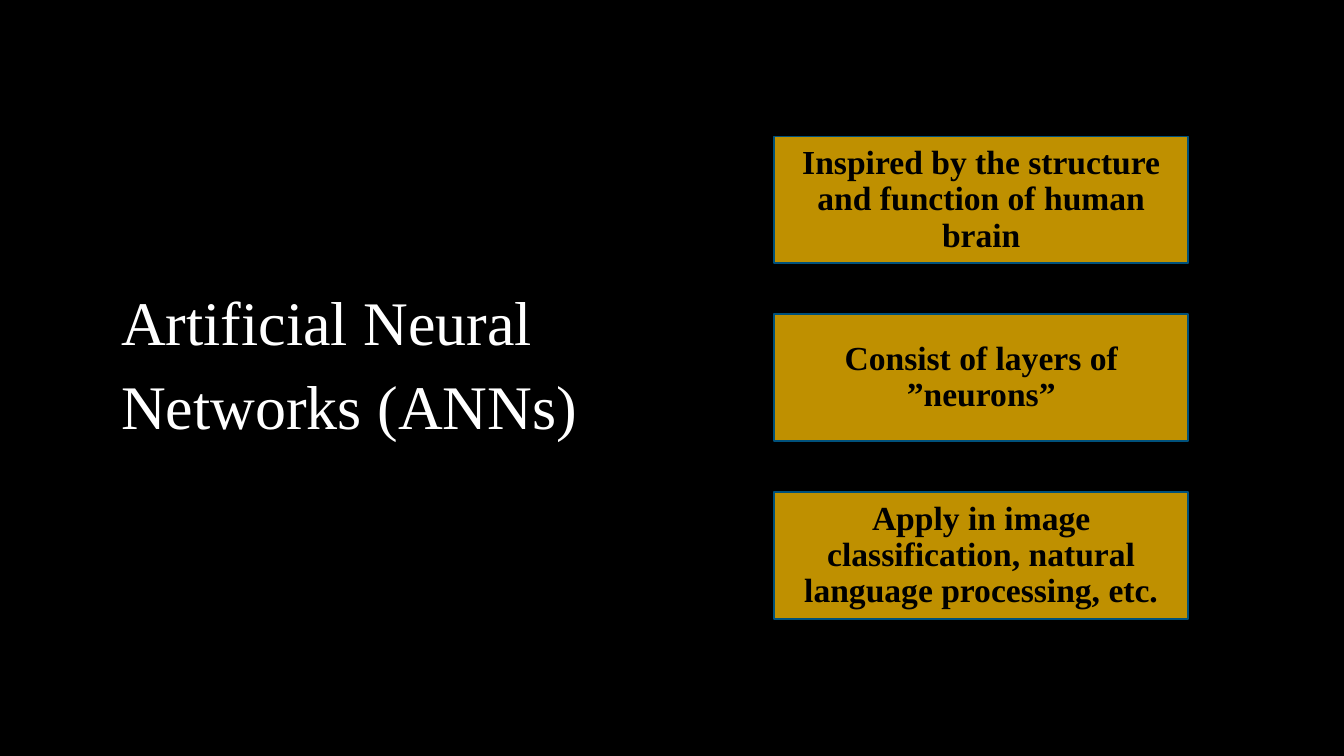
from pptx import Presentation
from pptx.dml.color import RGBColor
from pptx.enum.shapes import MSO_SHAPE
from pptx.enum.text import MSO_ANCHOR, PP_ALIGN
from pptx.util import Cm, Pt

TITLE = "Artificial Neural Networks (ANNs)"
POINTS = [
    "Inspired by the structure and function of human brain",
    "Consist of layers of ”neurons”",
    "Apply in image classification, natural language processing, etc.",
]

BLACK = RGBColor(0x00, 0x00, 0x00)
WHITE = RGBColor(0xFF, 0xFF, 0xFF)
GOLD = RGBColor(0xBF, 0x90, 0x00)
BLUE = RGBColor(0x00, 0x51, 0x7C)
FONT = "Times New Roman"
RECTANGLE = MSO_SHAPE.RECTANGLE
TOP, MIDDLE = MSO_ANCHOR.TOP, MSO_ANCHOR.MIDDLE
LEFT, CENTER = PP_ALIGN.LEFT, PP_ALIGN.CENTER

CARD_LEFT, CARD_TOP = Cm(14.63), Cm(2.58)
CARD_WIDTH, CARD_HEIGHT = Cm(7.83), Cm(2.4)
CARD_PITCH = Cm(3.36)


def write(shape, text, size, color, bold, align, anchor, spacing, insets):
    """Fill a shape with one paragraph; insets are left, top, right, bottom."""
    frame = shape.text_frame
    frame.text = text
    frame.word_wrap = True
    frame.vertical_anchor = anchor
    (frame.margin_left, frame.margin_top,
     frame.margin_right, frame.margin_bottom) = insets
    para = frame.paragraphs[0]
    para.alignment = align
    para.line_spacing = spacing
    font = para.runs[0].font
    font.name, font.size, font.bold = FONT, Pt(size), bold
    font.color.rgb = color


deck = Presentation()
deck.slide_width, deck.slide_height = Cm(25.4), Cm(14.29)
page = deck.slides.add_slide(deck.slide_layouts[6])
page.background.fill.solid()
page.background.fill.fore_color.rgb = BLACK

title = page.shapes.add_textbox(Cm(2.06), Cm(4.8), Cm(11.23), Cm(4.19))
write(title, TITLE, 33.2, WHITE, False, LEFT, TOP, 1.14,
      (Cm(0.23), Cm(0.36), Cm(0.23), Cm(0.18)))

for index, point in enumerate(POINTS):
    card = page.shapes.add_shape(RECTANGLE, CARD_LEFT, CARD_TOP + index * CARD_PITCH,
                                 CARD_WIDTH, CARD_HEIGHT)
    card.shadow.inherit = False
    card.fill.solid()
    card.fill.fore_color.rgb = GOLD
    card.line.color.rgb = BLUE
    card.line.width = Pt(1)
    write(card, point, 18, BLACK, True, CENTER, MIDDLE, 0.9, [Cm(0.03)] * 4)

deck.save("out.pptx")
